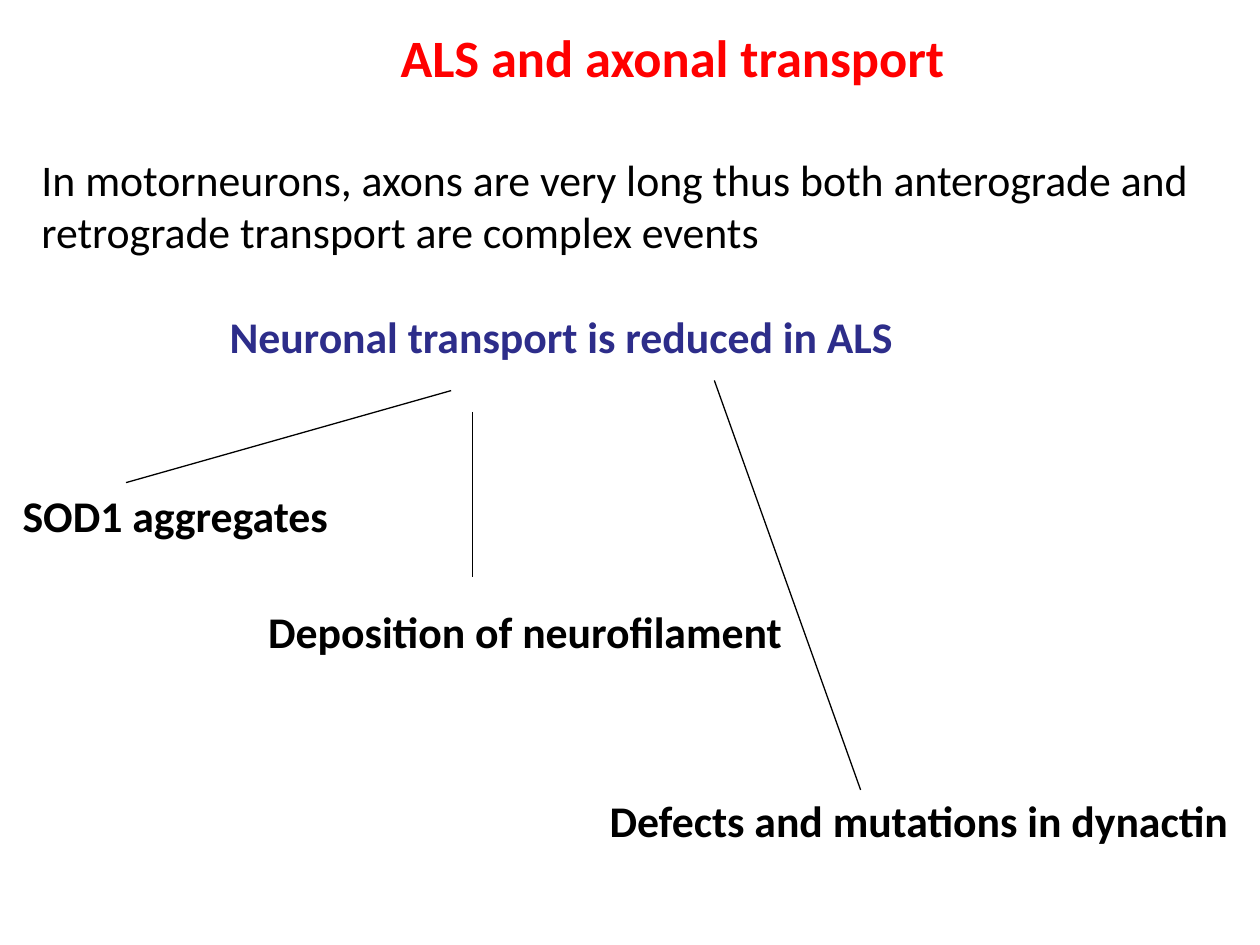
import pptx
import pptx.util
import pptx.dml.color
import pptx.enum.shapes
import pptx.enum.text
import pptx.oxml.ns
import lxml.etree

Pt = pptx.util.Pt
COLORS = {"title": "FF0000", "finding": "2D2D8A", "ink": "000000"}

deck = pptx.Presentation()
deck.slide_width, deck.slide_height = Pt(720), Pt(540)
slide = deck.slides.add_slide(deck.slide_layouts[6])


def add_text_frame(left, top, width, height, wrap=False):
    frame = slide.shapes.add_textbox(Pt(left), Pt(top), Pt(width), Pt(height)).text_frame
    frame.word_wrap = wrap
    frame.auto_size = pptx.enum.text.MSO_AUTO_SIZE.SHAPE_TO_FIT_TEXT
    return frame


def add_run(paragraph, text, color, size=25, bold=True):
    run = paragraph.add_run()
    run.text = text
    run.font.name = "Calibri"
    run.font.size = Pt(size)
    run.font.bold = bold
    run.font.color.rgb = pptx.dml.color.RGBColor.from_string(COLORS[color])


title = add_text_frame(221.8, 10.8, 328.3, 43.9)
add_run(title.paragraphs[0], "ALS and axonal transport", "title", size=30)

body = add_text_frame(16.6, 83.5, 673.2, 128.2, wrap=True)
add_run(
    body.paragraphs[0],
    "In motorneurons, axons are very long thus both anterograde and "
    "retrograde transport are complex events",
    "ink",
    bold=False,
)
finding = body.add_paragraph()
finding.space_before = Pt(30)
finding._p.get_or_add_pPr().set("marL", str(Pt(107.5)))
add_run(finding, "Neuronal transport is reduced in ALS", "finding")

causes = [
    ("SOD1 aggregates", (5.8, 275.8, 190.8), (257.8, 223.2, 72, 275.8)),
    ("Deposition of neurofilament", (146.2, 342, 311.8), (270, 235.4, 270, 329.8)),
    ("Defects and mutations in dynactin", (341.3, 450, 372.2), (408.2, 217.4, 491.8, 451.4)),
]
for cause, (left, top, width), ends in causes:
    add_run(add_text_frame(left, top, width, 37.4).paragraphs[0], cause, "ink")
    branch = slide.shapes.add_connector(
        pptx.enum.shapes.MSO_CONNECTOR.STRAIGHT, *[Pt(end) for end in ends]
    )
    branch.line.width = Pt(0.75)
    branch.line.color.rgb = pptx.dml.color.RGBColor.from_string(COLORS["ink"])
    lxml.etree.SubElement(branch._element.spPr, pptx.oxml.ns.qn("a:effectLst"))

deck.save("out.pptx")
